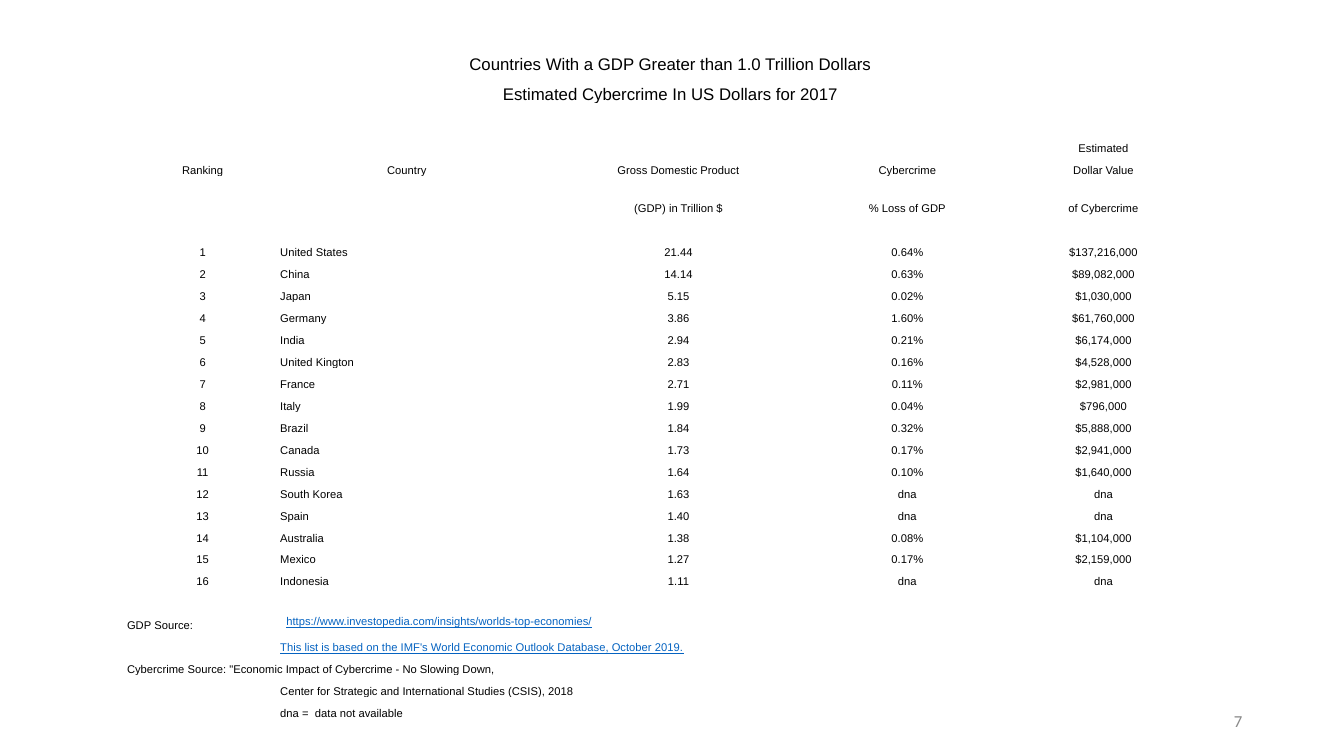
from lxml.etree import SubElement
from pptx import Presentation
from pptx.dml.color import RGBColor
from pptx.enum.text import MSO_ANCHOR, PP_ALIGN
from pptx.oxml.ns import qn
from pptx.util import Inches, Pt

BLACK, LINK_BLUE, GREY = "000000", "0563C1", "888888"
COLUMN_WIDTHS = [1.52, 2.53, 2.86, 1.68, 2.21]
ROW_COUNT = 29
TABLE_LEFT, TABLE_TOP, TABLE_HEIGHT = 1.25, 0.43, 6.72
TALL_ROWS = {0: 0.3, 1: 0.3, 2: 0.29, 5: 0.38}
PLAIN_ROW = (TABLE_HEIGHT - sum(TALL_ROWS.values())) / (ROW_COUNT - len(TALL_ROWS))

TITLES = [
    "Countries With a GDP Greater than 1.0 Trillion Dollars",
    "Estimated Cybercrime In US Dollars for 2017",
]
HEADINGS = [
    ["", "", "", "", "Estimated"],
    ["Ranking", "Country", "Gross Domestic Product", "Cybercrime", "Dollar Value"],
    ["", "", "(GDP) in Trillion $", "% Loss of GDP", "of Cybercrime"],
]
COUNTRIES = [
    ("United States", "21.44", "0.64%", "$137,216,000"),
    ("China", "14.14", "0.63%", "$89,082,000"),
    ("Japan", "5.15", "0.02%", "$1,030,000"),
    ("Germany", "3.86", "1.60%", "$61,760,000"),
    ("India", "2.94", "0.21%", "$6,174,000"),
    ("United Kington", "2.83", "0.16%", "$4,528,000"),
    ("France", "2.71", "0.11%", "$2,981,000"),
    ("Italy", "1.99", "0.04%", "$796,000"),
    ("Brazil", "1.84", "0.32%", "$5,888,000"),
    ("Canada", "1.73", "0.17%", "$2,941,000"),
    ("Russia", "1.64", "0.10%", "$1,640,000"),
    ("South Korea", "1.63", "dna", "dna"),
    ("Spain", "1.40", "dna", "dna"),
    ("Australia", "1.38", "0.08%", "$1,104,000"),
    ("Mexico", "1.27", "0.17%", "$2,159,000"),
    ("Indonesia", "1.11", "dna", "dna"),
]
HEADING_ROW, COUNTRY_ROW, SOURCE_ROW = 3, 7, 24
SOURCES = [
    (0, 1, 4, "https://www.investopedia.com/insights/worlds-top-economies/", LINK_BLUE),
    (1, 1, 4, "This list is based on the IMF's World Economic Outlook Database, October 2019.", LINK_BLUE),
    (2, 0, 4, 'Cybercrime Source: "Economic Impact of Cybercrime - No Slowing Down,', BLACK),
    (3, 1, 3, "Center for Strategic and International Studies (CSIS), 2018", BLACK),
    (4, 1, 2, "dna =  data not available", BLACK),
]


def color(value):
    return RGBColor.from_string(value)


def write(frame, text, size, align, ink=BLACK, font="Arial", underline=False):
    para = frame.paragraphs[0]
    para.text = text
    para.alignment = align
    for span in para.runs:
        span.font.name = font
        span.font.size = Pt(size)
        span.font.color.rgb = color(ink)
        span.font.underline = underline


def add_empty_table(page):
    table = page.shapes.add_table(
        ROW_COUNT, len(COLUMN_WIDTHS), Inches(TABLE_LEFT), Inches(TABLE_TOP),
        Inches(sum(COLUMN_WIDTHS)), Inches(TABLE_HEIGHT),
    ).table
    table.first_row = False
    table.horz_banding = False
    for column, width in zip(table.columns, COLUMN_WIDTHS):
        column.width = Inches(width)
    for index, row in enumerate(table.rows):
        row.height = Inches(TALL_ROWS.get(index, PLAIN_ROW))
    for cell in table.iter_cells():
        cell.fill.background()
        cell.vertical_anchor = MSO_ANCHOR.BOTTOM
        cell.margin_left = cell.margin_right = cell.margin_top = Inches(0.01)
        cell.margin_bottom = 0
        SubElement(cell.text_frame.paragraphs[0]._p, qn("a:endParaRPr"), sz="800")
    return table


def write_cell(table, row, column, text, align=PP_ALIGN.CENTER, size=8, columns=1, ink=BLACK):
    cell = table.cell(row, column)
    if columns > 1:
        cell.merge(table.cell(row, column + columns - 1))
    write(cell.text_frame, text, size, align, ink, underline=ink == LINK_BLUE)
    return cell


def fill_titles(table):
    for row, title in enumerate(TITLES):
        write_cell(table, row, 0, title, size=12, columns=len(COLUMN_WIDTHS))


def fill_headings(table):
    for row, headings in enumerate(HEADINGS, HEADING_ROW):
        for column, heading in enumerate(headings):
            if heading:
                write_cell(table, row, column, heading)


def fill_countries(table):
    for rank, values in enumerate(COUNTRIES, 1):
        for column, value in enumerate((str(rank), *values)):
            align = PP_ALIGN.LEFT if column == 1 else PP_ALIGN.CENTER
            write_cell(table, COUNTRY_ROW + rank - 1, column, value, align)


def fill_sources(table):
    write_cell(table, SOURCE_ROW, 0, "GDP Source:", PP_ALIGN.LEFT)
    for offset, column, columns, text, ink in SOURCES:
        write_cell(table, SOURCE_ROW + offset, column, text, PP_ALIGN.LEFT, columns=columns, ink=ink)
    address = table.cell(SOURCE_ROW, 1)
    address.vertical_anchor = MSO_ANCHOR.MIDDLE
    address.margin_left = Inches(0.07)


def add_page_number(page, number):
    box = page.shapes.add_textbox(Inches(9.42), Inches(6.95), Inches(3), Inches(0.4))
    box.text_frame.word_wrap = True
    box.text_frame.vertical_anchor = MSO_ANCHOR.MIDDLE
    write(box.text_frame, number, 12, PP_ALIGN.RIGHT, GREY, "Calibri")


def main():
    deck = Presentation()
    deck.slide_width, deck.slide_height = Inches(13.33), Inches(7.5)
    page = deck.slides.add_slide(deck.slide_layouts[6])
    add_page_number(page, "7")
    table = add_empty_table(page)
    fill_titles(table)
    fill_headings(table)
    fill_countries(table)
    fill_sources(table)
    deck.save("out.pptx")


if __name__ == "__main__":
    main()
